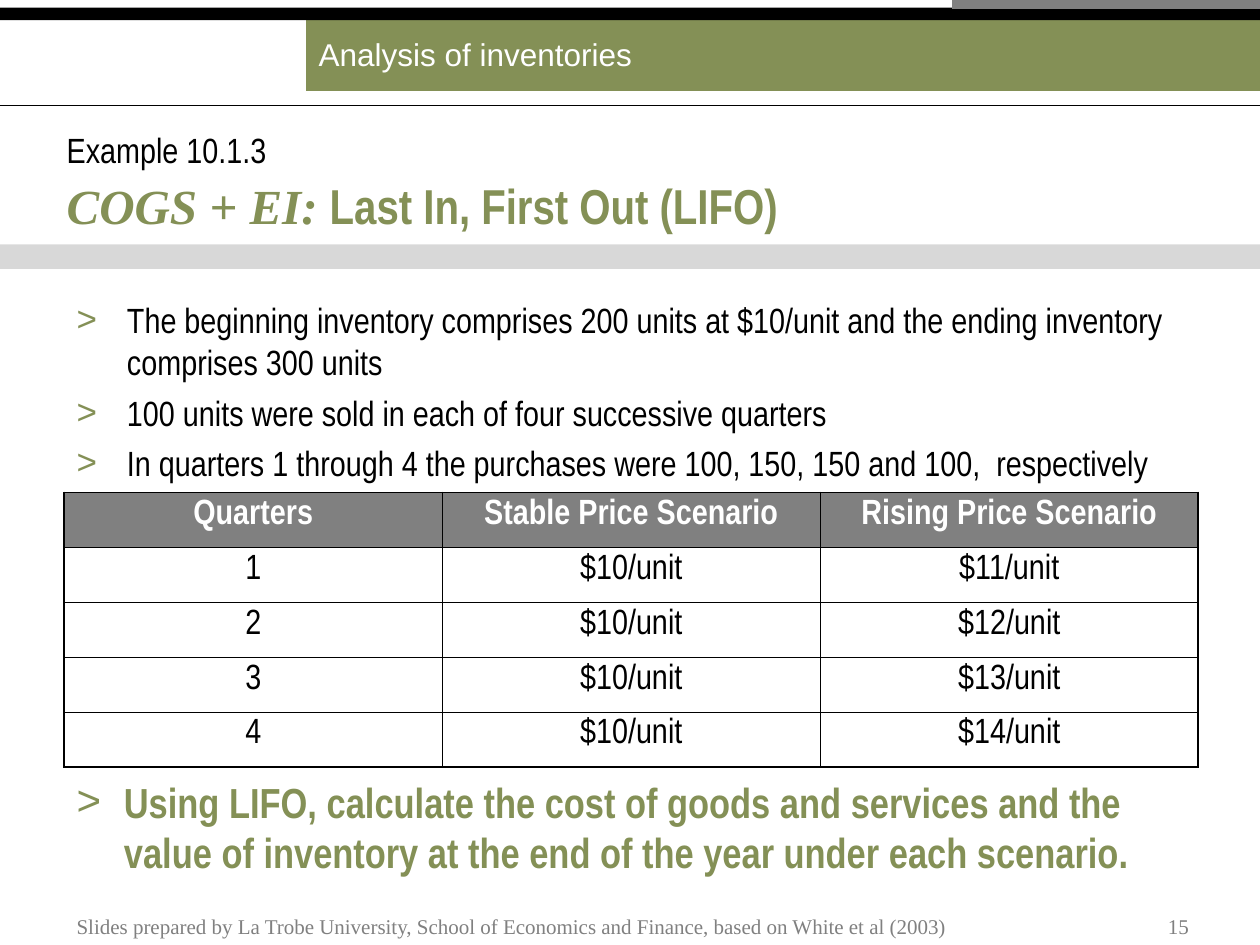
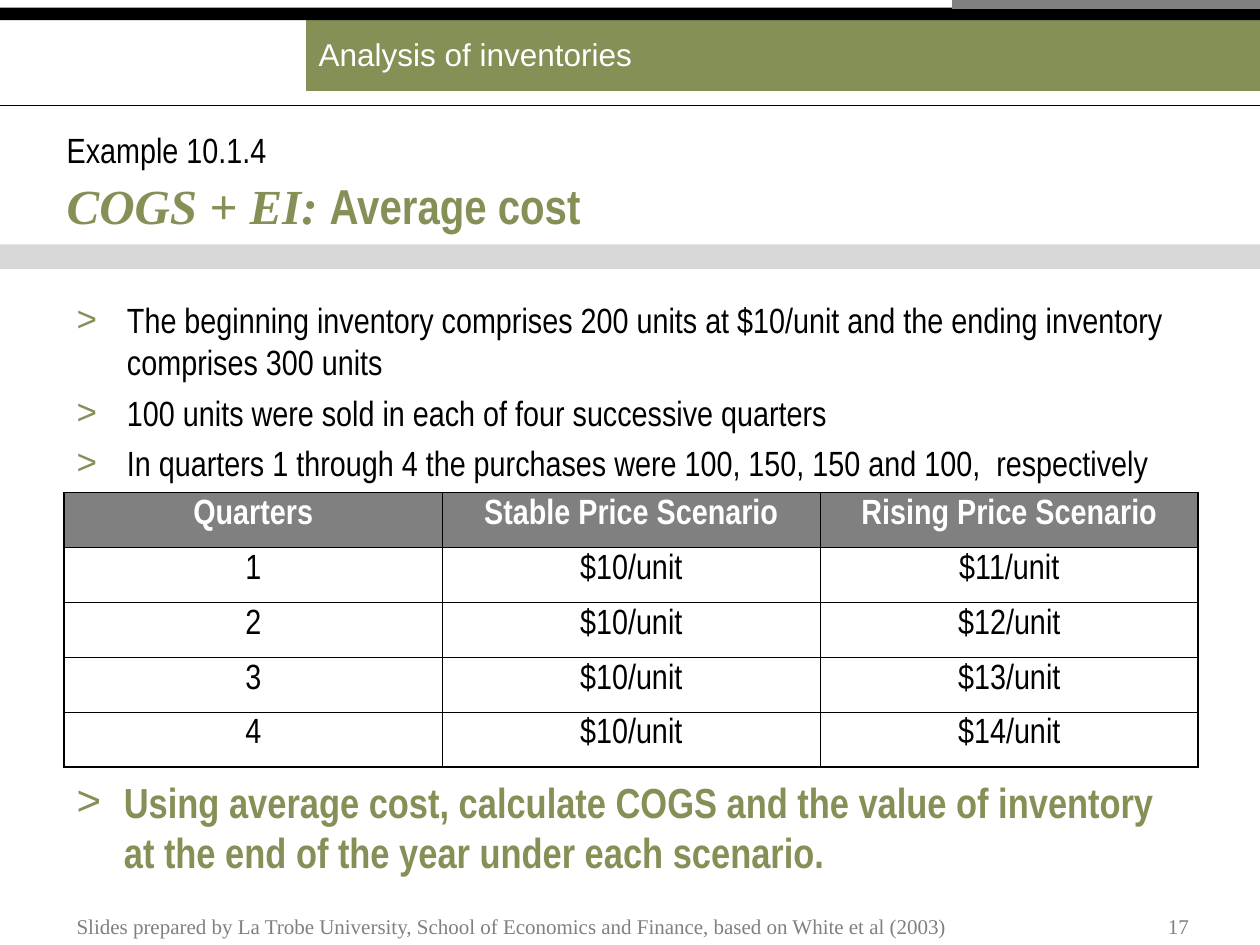
from lxml.etree import SubElement
from pptx import Presentation
from pptx.dml.color import RGBColor
from pptx.enum.shapes import MSO_CONNECTOR as CONNECTOR, MSO_SHAPE as SHAPE
from pptx.enum.text import MSO_ANCHOR as ANCHOR, PP_ALIGN as ALIGN
from pptx.oxml.ns import qn
from pptx.util import Pt

# Content
TOPIC = "Analysis of inventories"
TITLE_LEAD = "COGS + EI: "
FACTS = [
    "The beginning inventory comprises 200 units at $10/unit and the ending inventory comprises 300 units",
    "100 units were sold in each of four successive quarters",
    "In quarters 1 through 4 the purchases were 100, 150, 150 and 100,  respectively",
]
PRICES = [
    ("Quarters", "Stable Price Scenario", "Rising Price Scenario"),
    ("1", "$10/unit", "$11/unit"),
    ("2", "$10/unit", "$12/unit"),
    ("3", "$10/unit", "$13/unit"),
    ("4", "$10/unit", "$14/unit"),
]
CREDIT = "Slides prepared by La Trobe University, School of Economics and Finance, based on White et al (2003)"
EXAMPLES = [
    dict(label="Example 10.1.3", method="Last In, First Out (LIFO)", page="15",
         task="Using LIFO, calculate the cost of goods and services and the value of "
              "inventory at the end of the year under each scenario."),
    dict(label="Example 10.1.4", method="Average cost", page="17",
         task="Using average cost, calculate COGS and the value of inventory "
              "at the end of the year under each scenario."),
]

# Shared look, lengths in points
OLIVE, GREY, BLACK, WHITE = "849056", "808080", "000000", "FFFFFF"
SANS, NARROW, SERIF = "Arial", "Arial Narrow", "Times New Roman"
PAGE_W, PAGE_H = 720, 540
LEFT, BODY_W = 36.7, 648
TABLE_TOP, ROW_H = 281.4, 31.4
THIN, THICK = 0.45, 1.08


def rgb(code):
    return RGBColor.from_string(code)


def style(target, size, face, color, bold=False, italic=False):
    font = target.font
    font.size, font.name, font.bold, font.italic = Pt(size), face, bold, italic
    font.color.rgb = rgb(color)


def add_band(slide, left, top, width, height, color, opacity=None):
    band = slide.shapes.add_shape(SHAPE.RECTANGLE, Pt(left), Pt(top), Pt(width), Pt(height))
    band.shadow.inherit = False
    band.line.fill.background()
    band.fill.solid()
    band.fill.fore_color.rgb = rgb(color)
    if opacity:
        tint = band.fill._xPr.find(".//" + qn("a:srgbClr"))
        SubElement(tint, qn("a:alpha"), val=str(opacity * 1000))
    return band


def add_rule(slide, left, y, color, weight):
    rule = slide.shapes.add_connector(CONNECTOR.STRAIGHT, Pt(left), Pt(y), Pt(PAGE_W), Pt(y))
    rule.line.color.rgb = rgb(color)
    rule.line.width = Pt(weight)
    SubElement(rule._element.spPr, qn("a:effectLst"))


def add_text(slide, left, top, width, height, anchor=ANCHOR.TOP, inset=(7.2, 3.6)):
    frame = slide.shapes.add_textbox(Pt(left), Pt(top), Pt(width), Pt(height)).text_frame
    frame.word_wrap = True
    frame.vertical_anchor = anchor
    frame.margin_left = frame.margin_right = Pt(inset[0])
    frame.margin_top = frame.margin_bottom = Pt(inset[1])
    return frame


def add_bullets(frame, lines, indent, *look):
    for i, line in enumerate(lines):
        item = frame.add_paragraph() if i else frame.paragraphs[0]
        item.text = line
        if i:
            item.space_before = Pt(5)
        props = item._p.get_or_add_pPr()
        props.set("marL", str(Pt(indent)))
        props.set("indent", str(-Pt(indent)))
        SubElement(SubElement(props, qn("a:buClr")), qn("a:srgbClr"), val=OLIVE)
        SubElement(props, qn("a:buFont"), typeface=SANS)
        SubElement(props, qn("a:buChar"), char=">")
        style(item, *look)


def add_frame(slide, page):
    """Bands, rules and footer common to all slides."""
    add_band(slide, 0, 139.7, PAGE_W, 14, GREY, opacity=30)
    topic = add_band(slide, 175, 9.4, PAGE_W - 175, 42.6, OLIVE).text_frame
    topic.vertical_anchor = ANCHOR.MIDDLE
    topic.text = TOPIC
    topic.paragraphs[0].alignment = ALIGN.LEFT
    style(topic.paragraphs[0], 18, SANS, WHITE)
    add_band(slide, 0, 4.4, PAGE_W, 7.2, BLACK)
    add_rule(slide, 544.3, 2.4, GREY, 5)
    add_rule(slide, 0, 60.2, BLACK, 0.75)

    for text, left, width, align in ((CREDIT, LEFT, 595.5, ALIGN.LEFT),
                                     (page, 635.8, 50.6, ALIGN.RIGHT)):
        footer = add_text(slide, left, 508.3, width, PAGE_H - 508.3, ANCHOR.BOTTOM)
        footer.text = text
        footer.paragraphs[0].alignment = align
        style(footer.paragraphs[0], 12, SERIF, GREY)


def add_prices(slide):
    rows, cols = len(PRICES), len(PRICES[0])
    table = slide.shapes.add_table(rows, cols, Pt(LEFT), Pt(TABLE_TOP),
                                   Pt(BODY_W), Pt(ROW_H * rows)).table
    table.first_row = table.horz_banding = False
    for row in table.rows:
        row.height = Pt(ROW_H)
    for r, values in enumerate(PRICES):
        for c, value in enumerate(values):
            cell = table.cell(r, c)
            cell.text = value
            # Thick border on the outside, thin inside
            outer = {"lnL": c == 0, "lnR": c == cols - 1, "lnT": r == 0, "lnB": r == rows - 1}
            props = cell._tc.get_or_add_tcPr()
            for side, is_outer in outer.items():
                edge = SubElement(props, qn("a:" + side), w=str(Pt(THICK if is_outer else THIN)))
                SubElement(SubElement(edge, qn("a:solidFill")), qn("a:srgbClr"), val=BLACK)
            header = r == 0
            if header:
                cell.fill.solid()
                cell.fill.fore_color.rgb = rgb(GREY)
            else:
                cell.fill.background()
            entry = cell.text_frame.paragraphs[0]
            entry.alignment = ALIGN.CENTER
            style(entry, 20, NARROW, WHITE if header else BLACK, bold=header)


def add_example(slide, example):
    add_frame(slide, example["page"])

    # Heading
    label = add_text(slide, LEFT, 76.6, 652, 17.3, ANCHOR.MIDDLE, (1.4, 0))
    label.text = example["label"]
    style(label.paragraphs[0], 20, NARROW, BLACK)
    title = add_text(slide, LEFT, 106, 652, 22.3, ANCHOR.MIDDLE, (1.4, 0)).paragraphs[0]
    for text, face, italic in ((TITLE_LEAD, SERIF, True), (example["method"], NARROW, False)):
        part = title.add_run()
        part.text = text
        style(part, 28, face, OLIVE, True, italic)

    # Facts, price table and task
    add_bullets(add_text(slide, LEFT, 167, BODY_W, 114), FACTS, 28.8, 20, NARROW, BLACK)
    add_prices(slide)
    add_bullets(add_text(slide, LEFT, 440, BODY_W, 67.7), [example["task"]], 27,
                24, NARROW, OLIVE, True)


def main():
    deck = Presentation()
    deck.slide_width, deck.slide_height = Pt(PAGE_W), Pt(PAGE_H)
    for example in EXAMPLES:
        add_example(deck.slides.add_slide(deck.slide_layouts[6]), example)
    deck.save("out.pptx")


if __name__ == "__main__":
    main()
